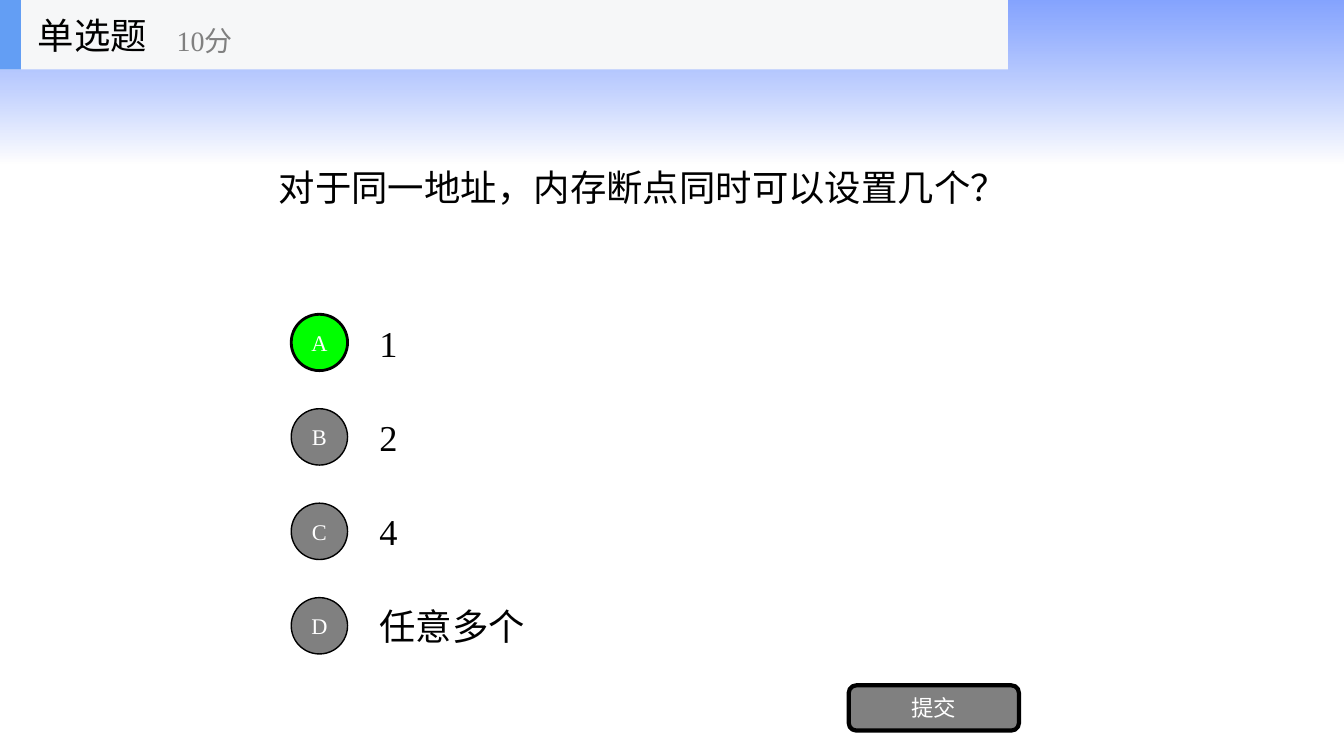
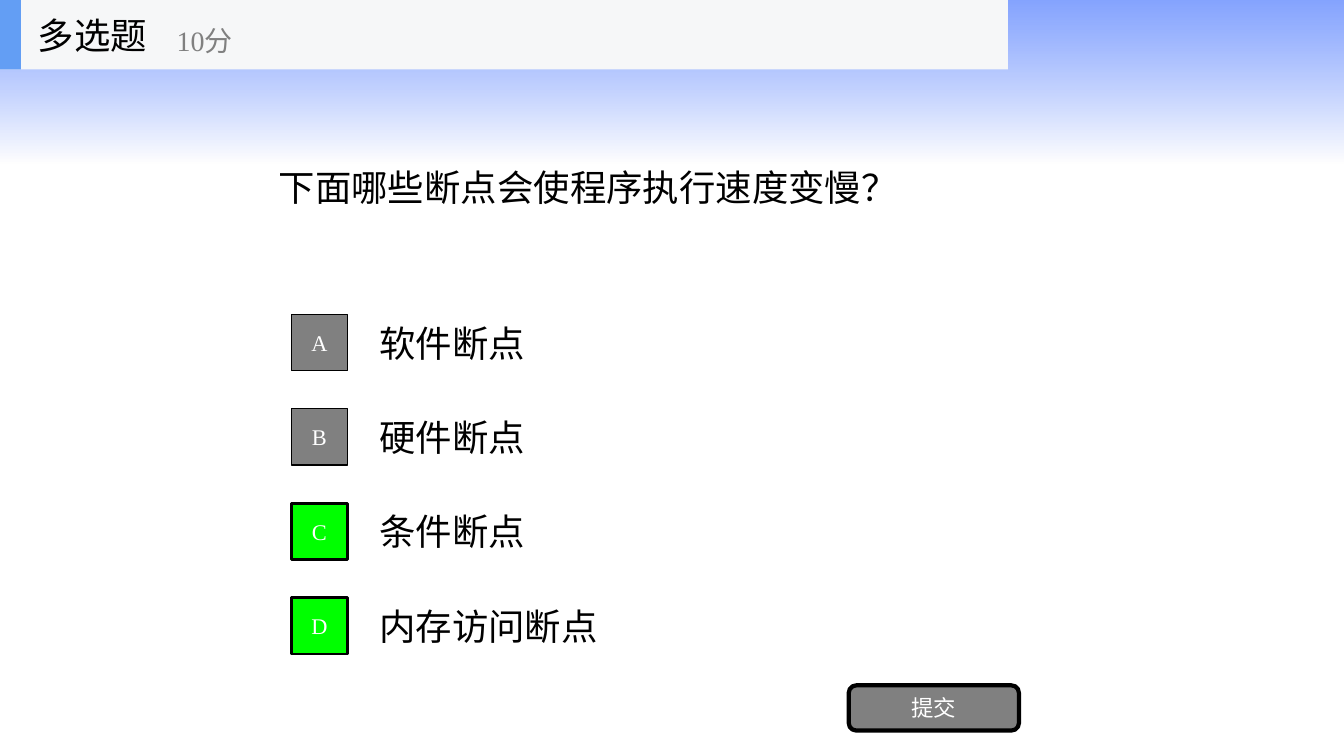
import pptx
import pptx.dml.color
import pptx.enum.shapes
import pptx.enum.text
import pptx.oxml.ns
import pptx.util
import lxml.etree

Cm = pptx.util.Cm
Pt = pptx.util.Pt
SHAPE = pptx.enum.shapes.MSO_SHAPE
ALIGN = pptx.enum.text.PP_ALIGN

FONT = "Times New Roman"
COLORS = {
    "sky": "3366FF",
    "white": "FFFFFF",
    "black": "000000",
    "gray": "808080",
    "correct": "00FF00",
    "header": "F6F7F8",
    "accent": "639EF4",
}
SLIDE_WIDTH, SLIDE_HEIGHT = 33.87, 19.05
HEADER_BOX = (0, 0, 25.4, 1.75)
QUESTION_BOX = (6.77, 1.75, 20.32, 5.94)
OPTIONS_BOX = (7.34, 7.74, 19.75, 8.92)
SUBMIT_BOX = (21.39, 17.27, 4.29, 1.14)

QUESTIONS = [
    {
        "kind": "单选题",
        "question": "对于同一地址，内存断点同时可以设置几个？",
        "options": ["1", "2", "4", "任意多个"],
        "correct": "A",
        "marker": SHAPE.OVAL,
    },
    {
        "kind": "多选题",
        "question": "下面哪些断点会使程序执行速度变慢？",
        "options": ["软件断点", "硬件断点", "条件断点", "内存访问断点"],
        "correct": "CD",
        "marker": SHAPE.RECTANGLE,
    },
]


def rgb(name):
    """Return the named colour."""
    return pptx.dml.color.RGBColor.from_string(COLORS[name])


def lengths(box):
    """Convert a box in centimetres to lengths."""
    return [Cm(value) for value in box]


def write(holder, text, size, color, align=ALIGN.LEFT):
    """Write one vertically centred paragraph into a shape."""
    frame = holder.text_frame
    frame.word_wrap = True
    frame.auto_size = pptx.enum.text.MSO_AUTO_SIZE.NONE
    frame.vertical_anchor = pptx.enum.text.MSO_ANCHOR.MIDDLE
    frame.text = text
    paragraph = frame.paragraphs[0]
    paragraph.alignment = align
    paragraph.font.name = FONT
    paragraph.font.size = Pt(size)
    paragraph.font.color.rgb = rgb(color)


def add_label(shapes, box, text, size=26, color="black"):
    """Add a left-aligned text box."""
    write(shapes.add_textbox(*lengths(box)), text, size, color)


def add_panel(shapes, preset, box, fill, border=0):
    """Add a flat filled shape, with a black border if one is given."""
    panel = shapes.add_shape(preset, *lengths(box))
    panel.shadow.inherit = False
    panel.fill.solid()
    panel.fill.fore_color.rgb = rgb(fill)
    if border:
        panel.line.color.rgb = rgb("black")
        panel.line.width = Pt(border)
    else:
        panel.line.fill.background()
    return panel


def add_button(shapes, preset, box, text, fill, border):
    """Add a bordered shape with centred white text."""
    button = add_panel(shapes, preset, box, fill, border)
    frame = button.text_frame
    frame.margin_left = frame.margin_right = 0
    frame.margin_top = frame.margin_bottom = 0
    write(button, text, 16, "white", ALIGN.CENTER)


def add_sky(slide):
    """Put the fading sky band on the layout of the slide."""
    sky = add_panel(slide.shapes, SHAPE.RECTANGLE, (0, 0, SLIDE_WIDTH, 4.11), "sky")
    sky.fill.gradient()
    sky.fill.gradient_angle = 270
    for stop, color in zip(sky.fill.gradient_stops, ("sky", "white")):
        stop.color.rgb = rgb(color)
    qn = pptx.oxml.ns.qn
    stop_colors = sky._element.spPr.iter(qn("a:srgbClr"))
    for stop_color, opacity in zip(stop_colors, (60, 70)):
        lxml.etree.SubElement(stop_color, qn("a:alpha")).set("val", str(opacity * 1000))
    slide.slide_layout.shapes._spTree.insert(2, sky._element)


def add_header(slide, box, kind):
    """Add the grouped header with the question kind and its points."""
    left, top, width, height = box
    parts = slide.shapes.add_group_shape().shapes
    add_panel(parts, SHAPE.RECTANGLE, box, "header")
    add_panel(parts, SHAPE.RECTANGLE, (left, top, 0.53, height), "accent")
    add_label(parts, (left + 0.7, top, 5.28, height), kind)
    add_label(parts, (left + 4.2, top + 0.31, 6.35, height - 0.32), "10分", 20, "gray")


def add_options(slide, box, options, correct, marker):
    """Add evenly spaced answers, each with a lettered marker."""
    left, top, width, height = box
    row_height, marker_size, indent = 1.78, 1.42, 1.97
    pitch = (height - row_height) / (len(options) - 1)
    for row, (letter, answer) in enumerate(zip("ABCD", options)):
        row_top = top + row * pitch
        add_label(slide.shapes, (left + indent, row_top, width - indent, row_height), answer)
        fill, border = ("correct", 2) if letter in correct else ("gray", 1)
        marker_top = row_top + (row_height - marker_size) / 2
        marker_box = (left, marker_top, marker_size, marker_size)
        add_button(slide.shapes, marker, marker_box, letter, fill, border)


def fill_question(slide, kind, question, options, correct, marker):
    """Fill a slide with one quiz question."""
    title = slide.shapes.title
    title.left, title.top, title.width, title.height = lengths(QUESTION_BOX)
    write(title, question, 26, "black")
    add_options(slide, OPTIONS_BOX, options, correct, marker)
    add_button(slide.shapes, SHAPE.ROUNDED_RECTANGLE, SUBMIT_BOX, "提交", "gray", 3)
    add_header(slide, HEADER_BOX, kind)


def main():
    """Build and save the quiz."""
    quiz = pptx.Presentation()
    quiz.slide_width, quiz.slide_height = Cm(SLIDE_WIDTH), Cm(SLIDE_HEIGHT)
    slides = [quiz.slides.add_slide(quiz.slide_layouts[5]) for _ in QUESTIONS]
    add_sky(slides[0])
    for slide, content in zip(slides, QUESTIONS):
        fill_question(slide, **content)
    quiz.save("out.pptx")


if __name__ == "__main__":
    main()
